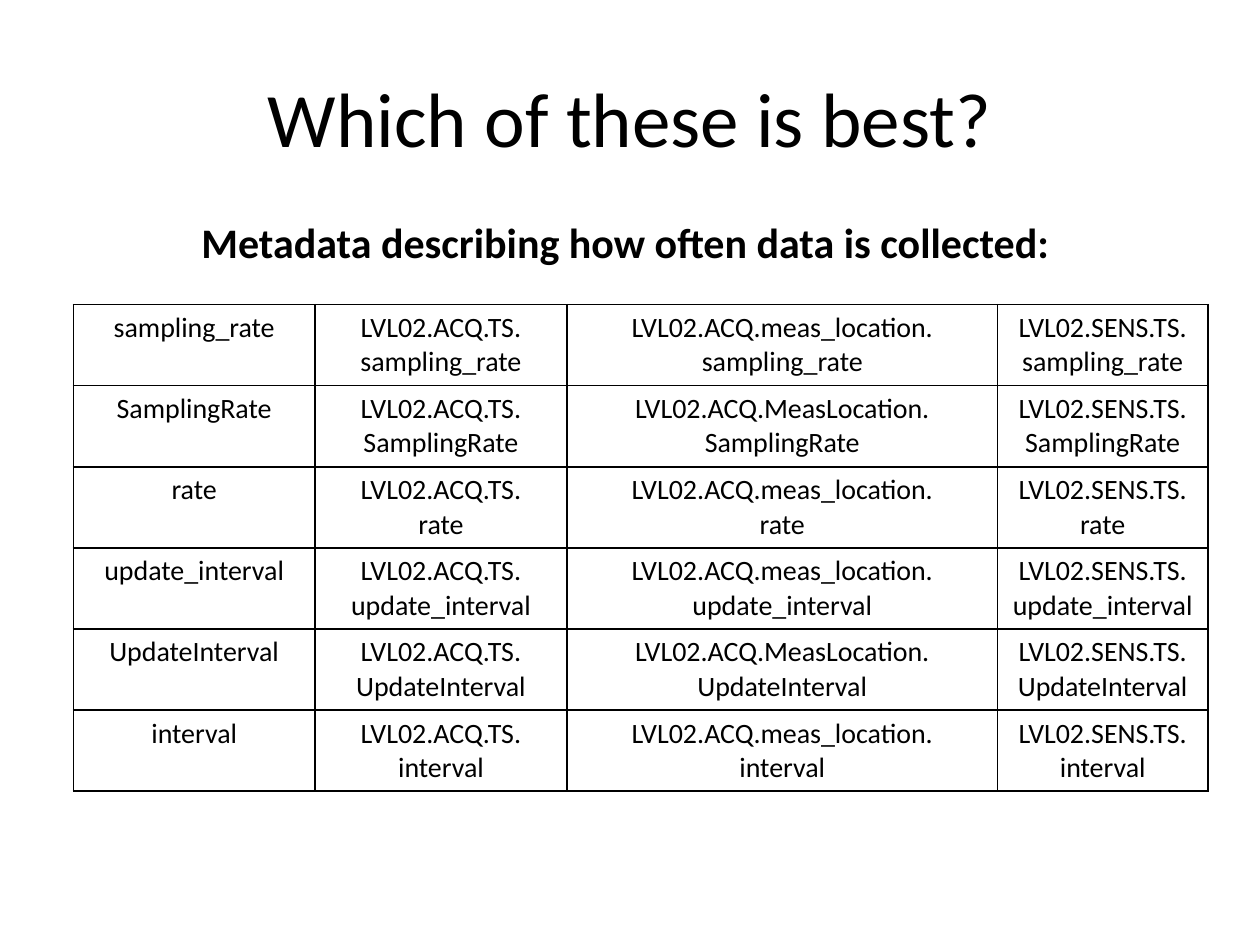
from lxml.etree import SubElement
from pptx import Presentation
from pptx.dml.color import RGBColor
from pptx.enum.text import MSO_ANCHOR as Anchor, PP_ALIGN as Align
from pptx.oxml.ns import qn
from pptx.util import Cm, Pt

BLACK = RGBColor(0x00, 0x00, 0x00)
WHITE = RGBColor(0xFF, 0xFF, 0xFF)


def write_text(text_frame, text, size, bold=False, align=Align.CENTER):
    text_frame.text = text
    for paragraph in text_frame.paragraphs:
        paragraph.alignment = align
        font = paragraph.runs[0].font
        font.name = "Calibri"
        font.size = Pt(size)
        font.bold = bold
        font.color.rgb = BLACK


def add_borders(cell, width):
    properties = cell._tc.get_or_add_tcPr()
    for side in ("a:lnL", "a:lnR", "a:lnT", "a:lnB"):
        line = SubElement(properties, qn(side), w=str(Pt(width)))
        fill = SubElement(line, qn("a:solidFill"))
        SubElement(fill, qn("a:srgbClr"), val=str(BLACK))


presentation = Presentation()
presentation.slide_width = Cm(25.4)
presentation.slide_height = Cm(19.05)
slide = presentation.slides.add_slide(presentation.slide_layouts[5])
slide.background.fill.solid()
slide.background.fill.fore_color.rgb = WHITE

title = slide.shapes.title
title.left, title.top = Cm(1.27), Cm(0.76)
title.width, title.height = Cm(22.86), Cm(3.18)
title.text_frame.vertical_anchor = Anchor.MIDDLE
write_text(title.text_frame, "Which of these is best?", 44)

names = ["sampling_rate", "SamplingRate", "rate",
         "update_interval", "UpdateInterval", "interval"]
locations = ["meas_location", "MeasLocation", "meas_location"] * 2
column_widths = [4.87, 5.08, 8.68, 4.24]
row_height = 1.63

table_shape = slide.shapes.add_table(
    len(names), len(column_widths), Cm(1.48), Cm(6.14),
    Cm(sum(column_widths)), Cm(row_height * len(names)))
table = table_shape.table
table.first_row = False
table.horz_banding = False
for column, width in zip(table.columns, column_widths):
    column.width = Cm(width)

for row, name, location in zip(table.rows, names, locations):
    row.height = Cm(row_height)
    prefixes = ["", "LVL02.ACQ.TS.\n", f"LVL02.ACQ.{location}.\n", "LVL02.SENS.TS.\n"]
    for cell, prefix in zip(row.cells, prefixes):
        write_text(cell.text_frame, prefix + name, 16)
        add_borders(cell, 1)
        cell.fill.background()

subtitle = slide.shapes.add_textbox(Cm(3.81), Cm(4.24), Cm(17.8), Cm(1.28))
subtitle.text_frame.word_wrap = False
write_text(subtitle.text_frame, "Metadata describing how often data is collected:", 24,
           bold=True, align=Align.LEFT)

presentation.save("out.pptx")
